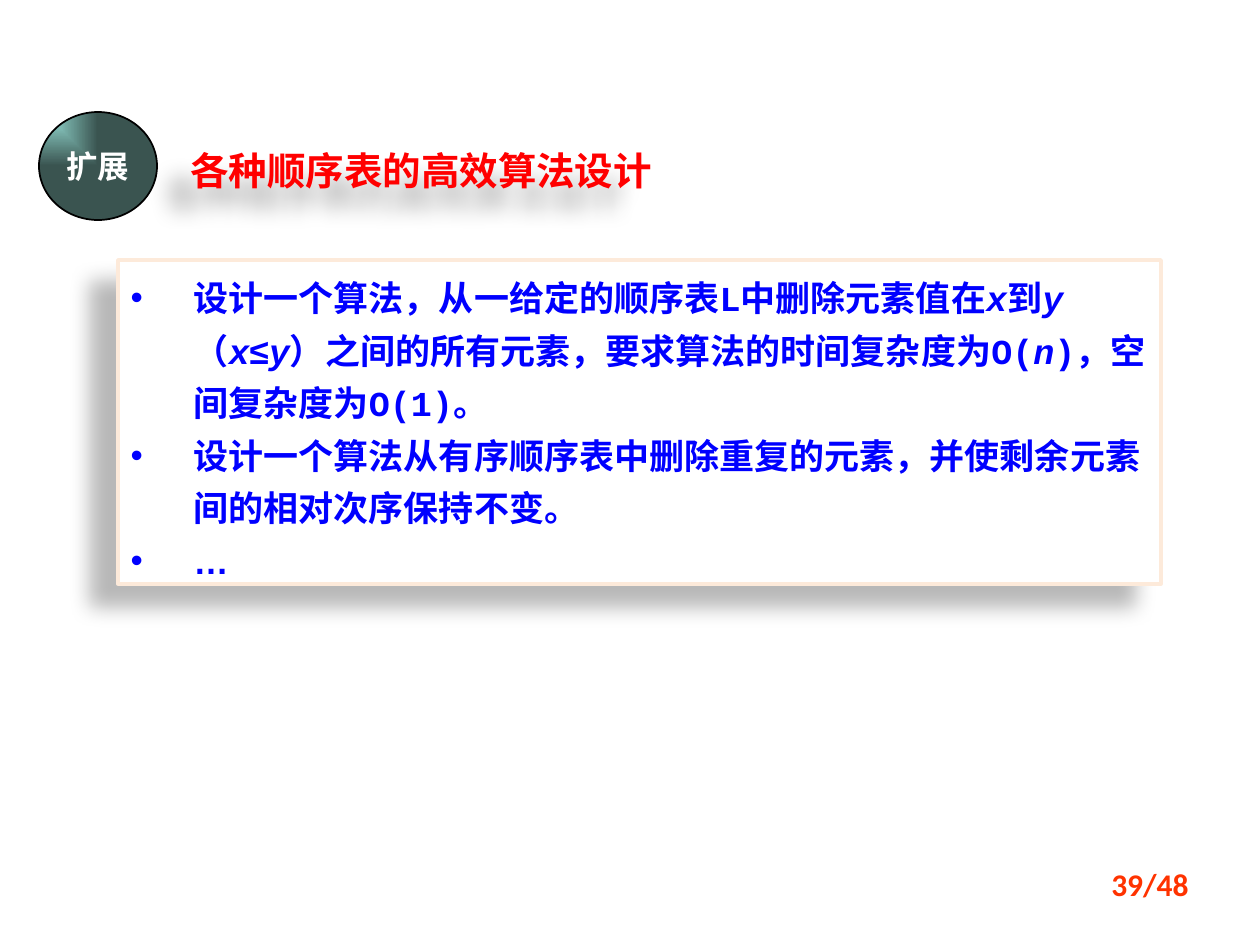
from lxml.etree import SubElement
from pptx import Presentation
from pptx.dml.color import RGBColor
from pptx.enum.shapes import MSO_SHAPE
from pptx.enum.text import MSO_ANCHOR, MSO_AUTO_SIZE, PP_ALIGN
from pptx.oxml import parse_xml
from pptx.oxml.ns import nsdecls, qn
from pptx.util import Emu, Inches, Pt

COLORS = {
    "paper": "FFFFFF",
    "panel_border": "FDEADA",
    "ink": "0000FF",
    "heading": "FF0000",
    "page": "FF3300",
    "outline": "000000",
    "badge_light": "9CE6DD",
    "badge_dark": "3A5450",
}
ITALIC = {"italic": True}
SYMBOL = {"name": "Arial"}
TASKS = [
    [
        ("设计一个算法，从一给定的顺序表L中删除元素值在", {}),
        ("x", ITALIC),
        ("到", {}),
        ("y", ITALIC),
        ("（", {}),
        ("x", ITALIC),
        ("≤", SYMBOL),
        ("y", ITALIC),
        ("）之间的所有元素，要求算法的时间复杂度为O(", {}),
        ("n", ITALIC),
        (")，空间复杂度为O(1)。", {}),
    ],
    [("设计一个算法从有序顺序表中删除重复的元素，并使剩余元素间的相对次序保持不变。", {})],
    [("…", SYMBOL)],
]


class SlideBuilder:
    scale = 914400 / 126
    east_asian_font = "Noto Sans CJK SC"

    def __init__(self, presentation):
        self.slide = presentation.slides.add_slide(presentation.slide_layouts[1])

    def box(self, *lengths):
        return [Emu(round(length * self.scale)) for length in lengths]

    def place(self, shape, *lengths):
        shape.left, shape.top, shape.width, shape.height = self.box(*lengths)

    def apply(self, target, values):
        for name, value in values.items():
            setattr(target, name, value)

    def outline(self, shape, color, width):
        shape.line.color.rgb = RGBColor.from_string(COLORS[color])
        shape.line.width = Pt(width)

    def drop_shadow(self, shape):
        shape._element.spPr.append(parse_xml(
            f'<a:effectLst {nsdecls("a")}>'
            '<a:outerShdw blurRad="150000" dist="250000" dir="8460000" algn="ctr" rotWithShape="0">'
            '<a:srgbClr val="000000"><a:alpha val="28000"/></a:srgbClr>'
            '</a:outerShdw></a:effectLst>'
        ))

    def add_runs(self, paragraph, runs, size, font, color, **layout):
        self.apply(paragraph, {"space_before": Pt(0), **layout})
        for text, changes in runs:
            run = paragraph.add_run()
            run.text = text
            values = {"size": Pt(size), "name": font, "bold": True, "italic": False}
            self.apply(run.font, {**values, **changes})
            run.font.color.rgb = RGBColor.from_string(COLORS[color])
            properties = run._r.get_or_add_rPr()
            SubElement(properties, qn("a:ea")).set("typeface", self.east_asian_font)

    def title(self, text, *lengths):
        shape = self.slide.shapes.title
        self.place(shape, *lengths)
        self.drop_shadow(shape)
        frame = shape.text_frame
        self.apply(frame, {"word_wrap": True, "auto_size": MSO_AUTO_SIZE.NONE,
                           "vertical_anchor": MSO_ANCHOR.TOP})
        self.add_runs(frame.paragraphs[0], [(text, {})], 22, "Courier New", "heading",
                      alignment=PP_ALIGN.LEFT)

    def bullet_panel(self, items, *lengths):
        shape = self.slide.placeholders[1]
        self.place(shape, *lengths)
        shape.fill.solid()
        shape.fill.fore_color.rgb = RGBColor.from_string(COLORS["paper"])
        self.outline(shape, "panel_border", 2)
        self.drop_shadow(shape)
        frame = shape.text_frame
        self.apply(frame, {"word_wrap": True, "auto_size": MSO_AUTO_SIZE.NONE})
        for index, runs in enumerate(items):
            paragraph = frame.add_paragraph() if index else frame.paragraphs[0]
            self.add_runs(paragraph, runs, 20, "Courier New", "ink", line_spacing=Pt(30))
            properties = paragraph._p.get_or_add_pPr()
            indent = Inches(0.5)
            properties.set("marL", str(indent))
            properties.set("indent", str(-indent))

    def badge(self, text, *lengths):
        shape = self.slide.shapes.add_shape(MSO_SHAPE.OVAL, *self.box(*lengths))
        shape.shadow.inherit = False
        shape.fill.gradient()
        for stop, color in zip(shape.fill.gradient_stops, ("badge_light", "badge_dark")):
            stop.color.rgb = RGBColor.from_string(COLORS[color])
        gradient = shape._element.spPr.find(qn("a:gradFill"))
        gradient.replace(gradient.find(qn("a:lin")), parse_xml(
            f'<a:path {nsdecls("a")} path="rect">'
            '<a:fillToRect r="100000" b="100000"/></a:path>'
        ))
        self.outline(shape, "outline", 1)
        frame = shape.text_frame
        self.apply(frame, {"word_wrap": False, "vertical_anchor": MSO_ANCHOR.MIDDLE})
        self.add_runs(frame.paragraphs[0], [(text, {})], 18, self.east_asian_font, "paper",
                      alignment=PP_ALIGN.CENTER)

    def page_number(self, text, *lengths):
        frame = self.slide.shapes.add_textbox(*self.box(*lengths)).text_frame
        frame.word_wrap = True
        self.add_runs(frame.paragraphs[0], [(text, {})], 18, "Calibri", "page",
                      alignment=PP_ALIGN.RIGHT)


def main():
    presentation = Presentation()
    presentation.slide_width = Inches(10)
    presentation.slide_height = Inches(7.5)
    builder = SlideBuilder(presentation)
    builder.bullet_panel(TASKS, 118, 260, 1043, 324)
    builder.badge("扩展", 39, 112, 118, 108)
    builder.title("各种顺序表的高效算法设计", 178, 141, 571, 59)
    builder.page_number("39/48", 907, 859, 294, 66)
    presentation.save("out.pptx")


if __name__ == "__main__":
    main()
